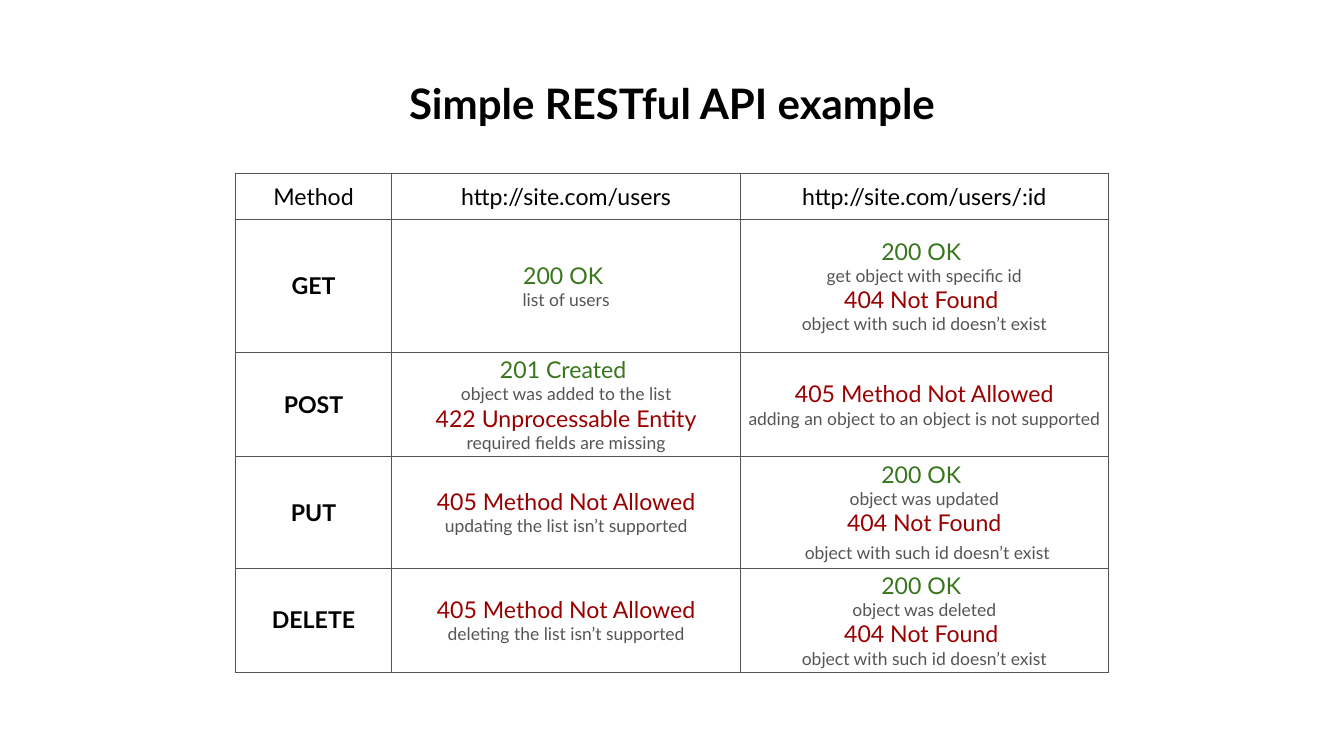
"""Build a slide that tables the replies of a simple RESTful API."""
from lxml import etree
from pptx import Presentation
from pptx import util as u
from pptx.dml.color import RGBColor
from pptx.enum import text
from pptx.oxml import ns

FONT = "Lato"
HUES = {"ink": "000000", "good": "38761D", "bad": "990000", "note": "555555", "line": "555555"}
LOOKS = {
    "head": {"size": 33, "hue": "ink"},
    "verb": {"size": 33, "hue": "ink", "bold": True},
    "good": {"size": 33, "hue": "good"},
    "bad": {"size": 33, "hue": "bad"},
    "note": {"size": 25, "hue": "note"},
}
WIDTHS = [223.2, 498.2, 524.9]
HEIGHTS = [66.2, 189.4, 148.3, 148.3, 148.3]
GONE = ("note", "object with such id doesn’t exist")
DENIED = ("bad", "405 Method Not Allowed\n")
FOUND = ("good", "200 OK \n")
LOST = ("bad", "404 Not Found \n")
ROWS = [
    [[("head", "Method")], [("head", "http://site.com/users")], [("head", "http://site.com/users/:id")]],
    [[("verb", "GET")],
     [FOUND, ("note", "list of users")],
     [FOUND, ("note", "get object with specific id\n"), LOST, GONE]],
    [[("verb", "POST")],
     [("good", "201 Created \n"), ("note", "object was added to the list\n"),
      ("bad", "422 Unprocessable Entity\n"), ("note", "required fields are missing")],
     [DENIED, ("note", "adding an object to an object is not supported")]],
    [[("verb", "PUT")],
     [DENIED, ("note", "updating the list isn’t supported")],
     [FOUND, ("note", "object was updated\n"), ("bad", "404 Not Found\n "), GONE]],
    [[("verb", "DELETE")],
     [DENIED, ("note", "deleting the list isn’t supported")],
     [FOUND, ("note", "object was deleted\n"), LOST, GONE]],
]


def write(para, words, size=33, hue="ink", bold=False):
    """Add words to a centred paragraph, with a line break at each newline."""
    para.alignment = text.PP_ALIGN.CENTER
    for i, part in enumerate(words.split("\n")):
        if i:
            para.add_line_break()
        if part:
            run = para.add_run()
            run.text = part
            run.font.name = FONT
            run.font.size = u.Pt(size)
            run.font.bold = bold
            run.font.color.rgb = RGBColor.from_string(HUES[hue])


def frame(cell):
    """Give a cell thin lines on all four sides."""
    props = cell._tc.get_or_add_tcPr()
    for i, side in enumerate(("lnL", "lnR", "lnT", "lnB")):
        line = etree.Element(ns.qn(f"a:{side}"), w=str(u.Pt(1)))
        fill = etree.SubElement(line, ns.qn("a:solidFill"))
        etree.SubElement(fill, ns.qn("a:srgbClr"), val=HUES["line"])
        props.insert(i, line)


def fill_cell(cell, runs):
    """Set the inner space, lines and text of a cell."""
    cell.margin_left = cell.margin_right = u.Pt(5)
    cell.margin_top = cell.margin_bottom = u.Pt(5)
    cell.vertical_anchor = text.MSO_ANCHOR.MIDDLE
    cell.fill.background()
    frame(cell)
    for look, words in runs:
        write(cell.text_frame.paragraphs[0], words, **LOOKS[look])


def add_title(slide, words):
    """Place the title above the table."""
    box = slide.shapes.add_textbox(u.Pt(449.3), u.Pt(107.3), u.Pt(1021), u.Pt(80))
    box.text_frame.word_wrap = True
    write(box.text_frame.paragraphs[0], words, size=60, bold=True)


def add_grid(slide):
    """Place the table of methods and replies."""
    grid = slide.shapes.add_table(
        len(HEIGHTS), len(WIDTHS), u.Pt(336.2), u.Pt(247.7),
        u.Pt(sum(WIDTHS)), u.Pt(sum(HEIGHTS))).table
    grid.first_row = grid.horz_banding = False
    for col, width in zip(grid.columns, WIDTHS):
        col.width = u.Pt(width)
    for row, height, cells in zip(grid.rows, HEIGHTS, ROWS):
        row.height = u.Pt(height)
        for cell, runs in zip(row.cells, cells):
            fill_cell(cell, runs)


def main():
    """Make and save the slide."""
    deck = Presentation()
    deck.slide_width, deck.slide_height = u.Pt(1919.52), u.Pt(1080)
    slide = deck.slides.add_slide(deck.slide_layouts[6])
    add_title(slide, "Simple RESTful API example")
    add_grid(slide)
    deck.save("out.pptx")


if __name__ == "__main__":
    main()
